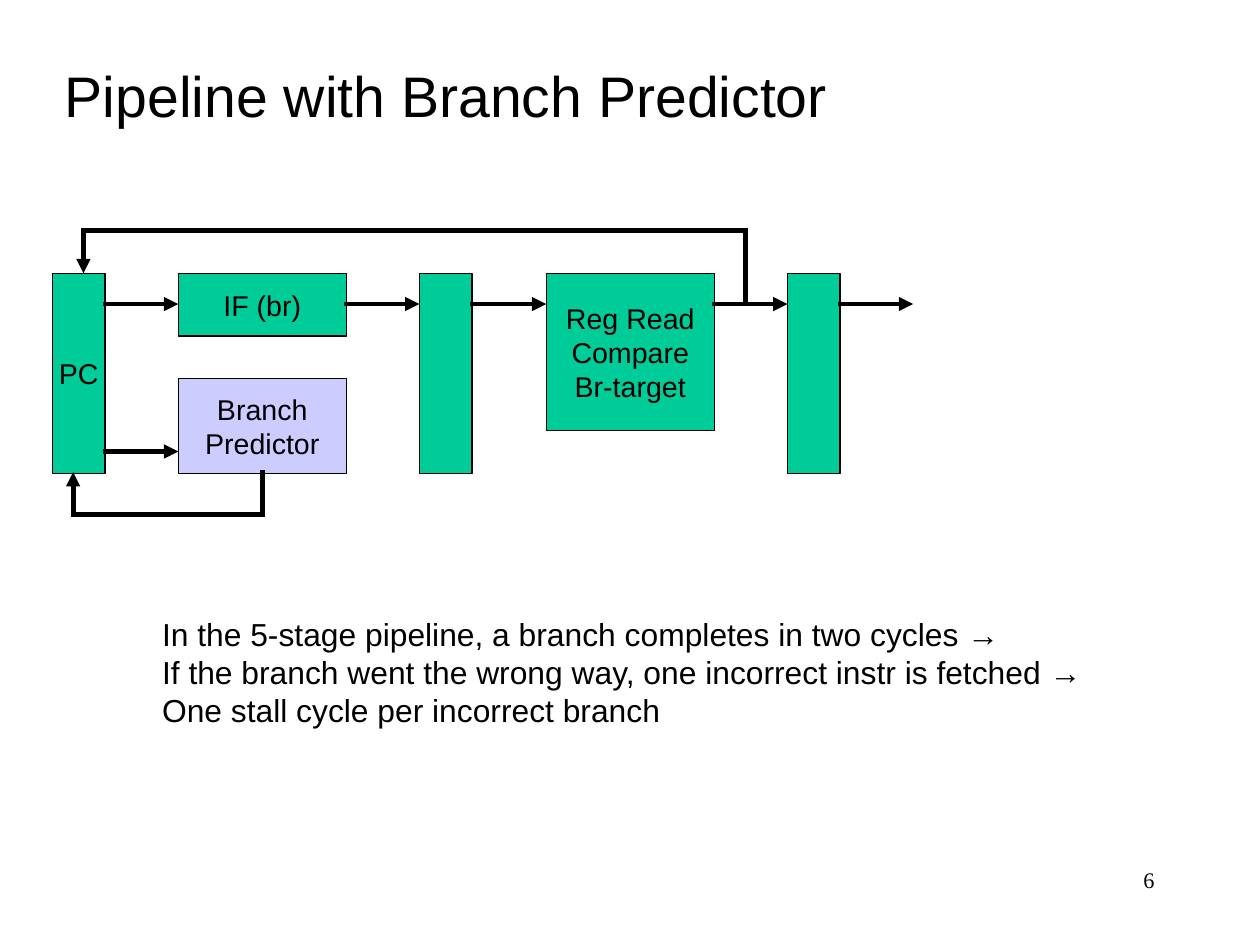
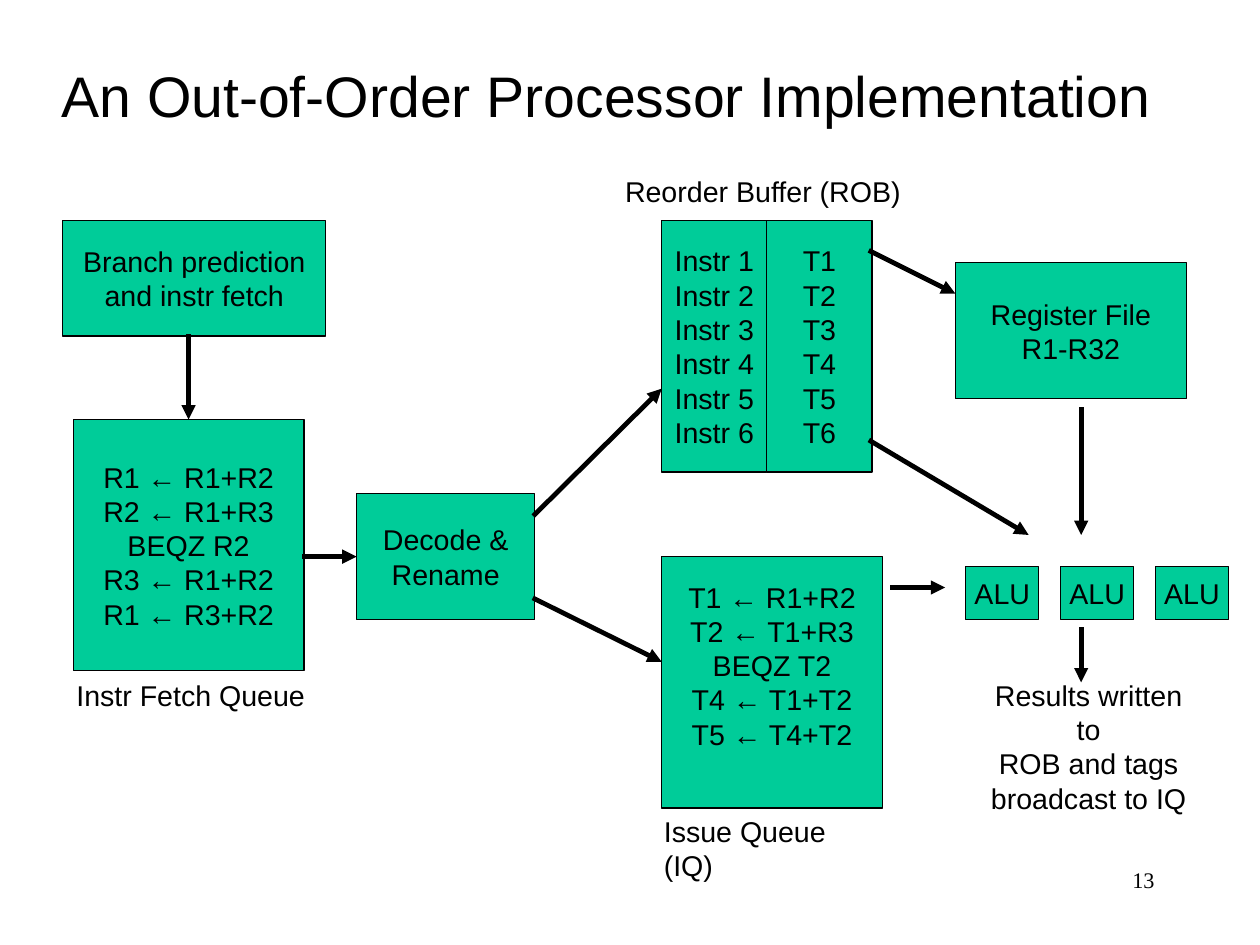
from itertools import pairwise

from lxml.etree import SubElement
from pptx import Presentation
from pptx.dml.color import RGBColor
from pptx.enum.shapes import MSO_CONNECTOR as CONNECTOR, MSO_SHAPE as SHAPE
from pptx.enum.text import (
    MSO_ANCHOR as ANCHOR, MSO_AUTO_SIZE as AUTO_SIZE, PP_ALIGN as ALIGN)
from pptx.oxml.ns import qn
from pptx.util import Emu, Pt

PX = 9144  # 100 px to the inch
BLACK, GREEN, LILAC = "000000", "00CC99", "CCCCFF"
color = RGBColor.from_string


def add_block(slide, left, top, width, height, lines=(), fill=None, size=18,
              font="Arial", align=ALIGN.CENTER, wrap=False, bottom=5):
    """Add a filled rectangle, or a plain text box if there is no fill."""
    box = [value * PX for value in (left, top, width, height)]
    if fill:
        shape = slide.shapes.add_shape(SHAPE.RECTANGLE, *box)
        shape.shadow.inherit = False
        shape.fill.solid()
        shape.fill.fore_color.rgb = color(fill)
        shape.line.color.rgb = color(BLACK)
        shape.line.width = Pt(0.75)
    else:
        shape = slide.shapes.add_textbox(*box)
    frame = shape.text_frame
    frame.word_wrap = wrap
    if not fill and not wrap:
        frame.auto_size = AUTO_SIZE.SHAPE_TO_FIT_TEXT
    frame.vertical_anchor = ANCHOR.MIDDLE if fill else ANCHOR.TOP
    frame.margin_left = frame.margin_right = 10 * PX
    frame.margin_top, frame.margin_bottom = 5 * PX, bottom * PX
    for index, line in enumerate(lines):
        paragraph = frame.add_paragraph() if index else frame.paragraphs[0]
        paragraph.alignment = align
        run = paragraph.add_run()
        run.text = line
        run.font.name = font
        run.font.size = Pt(size)
        run.font.color.rgb = color(BLACK)


def add_arrow(slide, *points):
    """Join the points with straight lines and put an arrowhead at the last."""
    for start, end in pairwise(points):
        connector = slide.shapes.add_connector(
            CONNECTOR.STRAIGHT, *[value * PX for value in start + end])
        connector.line.color.rgb = color(BLACK)
        connector.line.width = Pt(3)
        outline = connector.line._get_or_add_ln()
        outline.set("cap", "sq")
        if end == points[-1]:
            SubElement(outline, qn("a:tailEnd"), type="triangle")
        SubElement(connector._element.spPr, qn("a:effectLst"))


presentation = Presentation()
presentation.slide_width = Emu(10080625)
presentation.slide_height = Emu(7559675)

slides = []
for title, left, width, number in [
    ("Pipeline with Branch Predictor", 47, 687, "6"),
    ("An Out-of-Order Processor Implementation", 44, 973, "13"),
]:
    slide = presentation.slides.add_slide(presentation.slide_layouts[6])
    add_block(slide, 790, 753, 230, 55, [number], size=14,
              font="Times New Roman", align=ALIGN.RIGHT, wrap=True)
    add_block(slide, left, 48, width, 70, [title], size=36, align=ALIGN.LEFT)
    slides.append(slide)
pipeline, processor = slides

# Pipeline: latches, stages and the two feedback paths to the PC
stage_top, latch_width, stage_width = 239, 46, 147
for left, lines in [(46, ["PC"]), (367, []), (689, [])]:
    add_block(pipeline, left, stage_top, latch_width, 175, lines, GREEN)
for left, top, height, lines, fill in [
    (156, stage_top, 55, ["IF (br)"], GREEN),
    (478, stage_top, 138, ["Reg Read", "Compare", "Br-target"], GREEN),
    (156, 331, 83, ["Branch", "Predictor"], LILAC),
]:
    add_block(pipeline, left, top, stage_width, height, lines, fill)

flow_y = 266
for start, end, y in [
    (92, 156, flow_y), (303, 367, flow_y), (413, 478, flow_y),
    (625, 689, flow_y), (735, 799, flow_y), (92, 156, 395),
]:
    add_arrow(pipeline, (start, y), (end, y))
add_arrow(pipeline, (652, flow_y), (652, 202), (73, 202), (73, stage_top))
add_arrow(pipeline, (230, 413), (230, 450), (64, 450), (64, 413))

add_block(pipeline, 132, 533, 827, 110, [
    "In the 5-stage pipeline, a branch completes in two cycles →",
    "If the branch went the wrong way, one incorrect instr is fetched →",
    "One stall cycle per incorrect branch",
], size=20, align=ALIGN.LEFT)

# Processor: units, queues and the flow between them
entries = range(1, 7)
for left, top, width, height, lines in [
    (55, 193, 230, 101, ["Branch prediction", "and instr fetch"]),
    (64, 367, 202, 220, ["R1 ← R1+R2", "R2 ← R1+R3", "BEQZ R2",
                         "R3 ← R1+R2", "R1 ← R3+R2"]),
    (312, 432, 156, 110, ["Decode &", "Rename"]),
    (579, 193, 92, 220, [f"Instr {entry}" for entry in entries]),
    (671, 193, 92, 220, [f"T{entry}" for entry in entries]),
    (836, 230, 202, 119, ["Register File", "R1-R32"]),
]:
    add_block(processor, left, top, width, height, lines, GREEN)
add_block(processor, 579, 487, 193, 220, [
    "T1 ← R1+R2", "T2 ← T1+R3", "BEQZ T2", "T4 ← T1+T2", "T5 ← T4+T2",
], GREEN, bottom=35)
for column in range(3):
    add_block(processor, 845 + 83 * column, 496, 64, 46, ["ALU"], GREEN)

for left, top, width, label in [
    (57, 588, 220, "Instr Fetch Queue"),
    (537, 147, 261, "Reorder Buffer (ROB)"),
    (571, 707, 211, "Issue Queue (IQ)"),
]:
    add_block(processor, left, top, width, 40, [label], align=ALIGN.LEFT)
add_block(processor, 847, 588, 211, 100,
          ["Results written to", "ROB and tags", "broadcast to IQ"])

for start, end in [
    ((165, 294), (165, 367)),
    ((266, 487), (312, 487)),
    ((468, 450), (579, 340)),
    ((468, 524), (579, 579)),
    ((762, 220), (836, 257)),
    ((762, 386), (900, 468)),
    ((781, 514), (827, 514)),
    ((946, 358), (946, 468)),
    ((946, 551), (946, 597)),
]:
    add_arrow(processor, start, end)

presentation.save("out.pptx")
